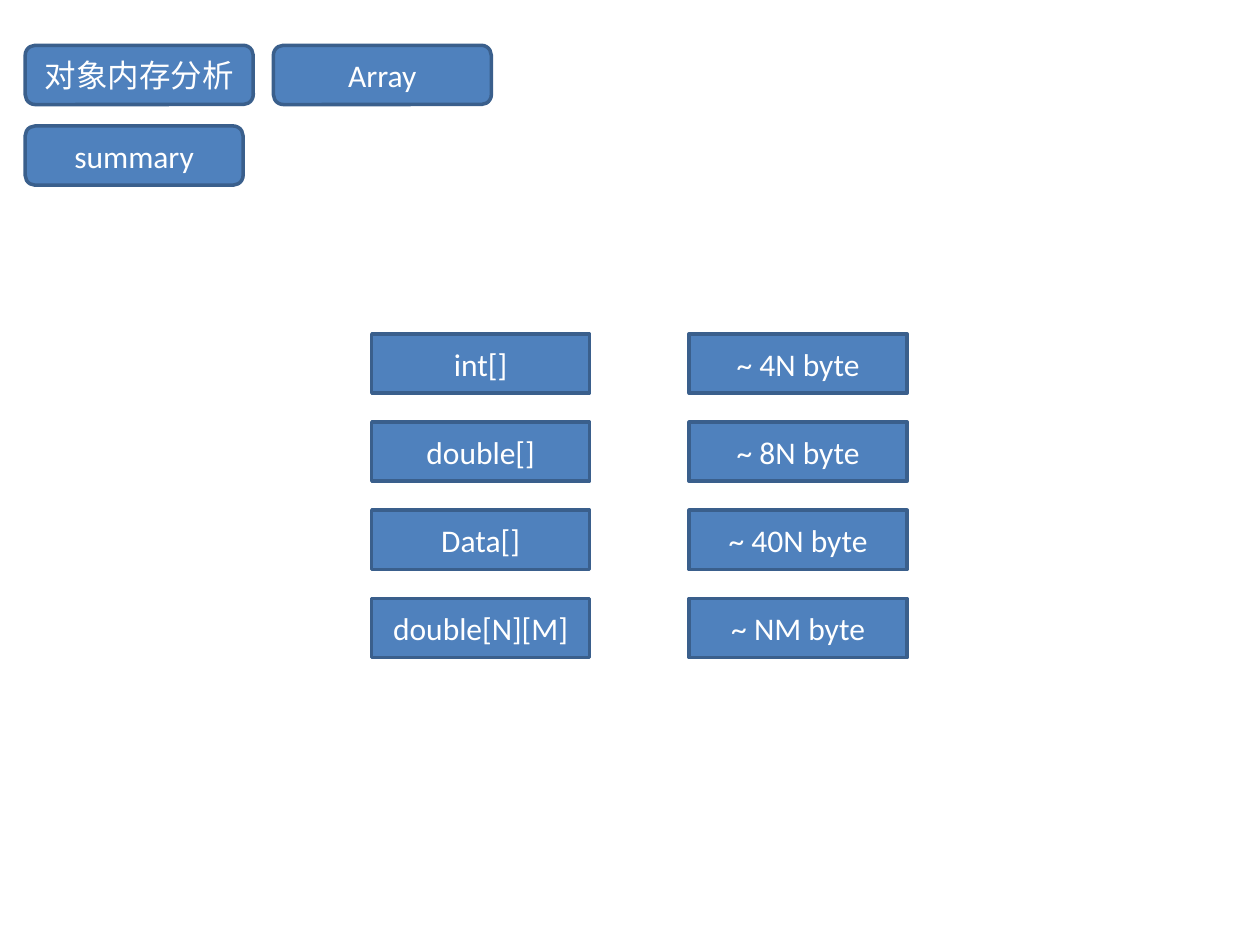
import pptx
import pptx.dml.color
import pptx.enum.shapes
import pptx.enum.text
import pptx.util

Inches = pptx.util.Inches
Shape = pptx.enum.shapes.MSO_SHAPE

COLORS = {"fill": "4F81BD", "border": "3A5F8C", "text": "FFFFFF"}
BOX_WIDTH, BOX_HEIGHT = 1.73, 0.47

headings = [
    ("对象内存分析", 0.2, 0.36, 1.81),
    ("Array", 2.17, 0.36, BOX_WIDTH),
    ("summary", 0.2, 1, BOX_WIDTH),
]
memory_usage = [
    ("int[]", "~ 4N byte"),
    ("double[]", "~ 8N byte"),
    ("Data[]", "~ 40N byte"),
    ("double[N][M]", "~ NM byte"),
]
COLUMN_LEFTS = (2.95, 5.47)
FIRST_ROW_TOP, ROW_STEP = 2.65, 0.70


def rgb(role):
    return pptx.dml.color.RGBColor.from_string(COLORS[role])


def write(frame, text, size=18, font="Calibri", color="text"):
    frame.word_wrap = True
    frame.vertical_anchor = pptx.enum.text.MSO_ANCHOR.MIDDLE
    paragraph = frame.paragraphs[0]
    paragraph.alignment = pptx.enum.text.PP_ALIGN.CENTER
    run = paragraph.add_run()
    run.text = text
    run.font.size = pptx.util.Pt(size)
    run.font.name = font
    run.font.color.rgb = rgb(color)


def add_box(slide, kind, text, left, top, width=BOX_WIDTH):
    box = slide.shapes.add_shape(
        kind, Inches(left), Inches(top), Inches(width), Inches(BOX_HEIGHT)
    )
    box.shadow.inherit = False
    box.fill.solid()
    box.fill.fore_color.rgb = rgb("fill")
    box.line.color.rgb = rgb("border")
    box.line.width = pptx.util.Pt(2)
    write(box.text_frame, text)


def main():
    deck = pptx.Presentation()
    deck.slide_width, deck.slide_height = Inches(10), Inches(7.5)
    slide = deck.slides.add_slide(deck.slide_layouts[6])

    for text, left, top, width in headings:
        add_box(slide, Shape.ROUNDED_RECTANGLE, text, left, top, width)

    for row, cells in enumerate(memory_usage):
        for left, text in zip(COLUMN_LEFTS, cells):
            add_box(slide, Shape.RECTANGLE, text, left, FIRST_ROW_TOP + row * ROW_STEP)

    deck.save("out.pptx")


if __name__ == "__main__":
    main()
